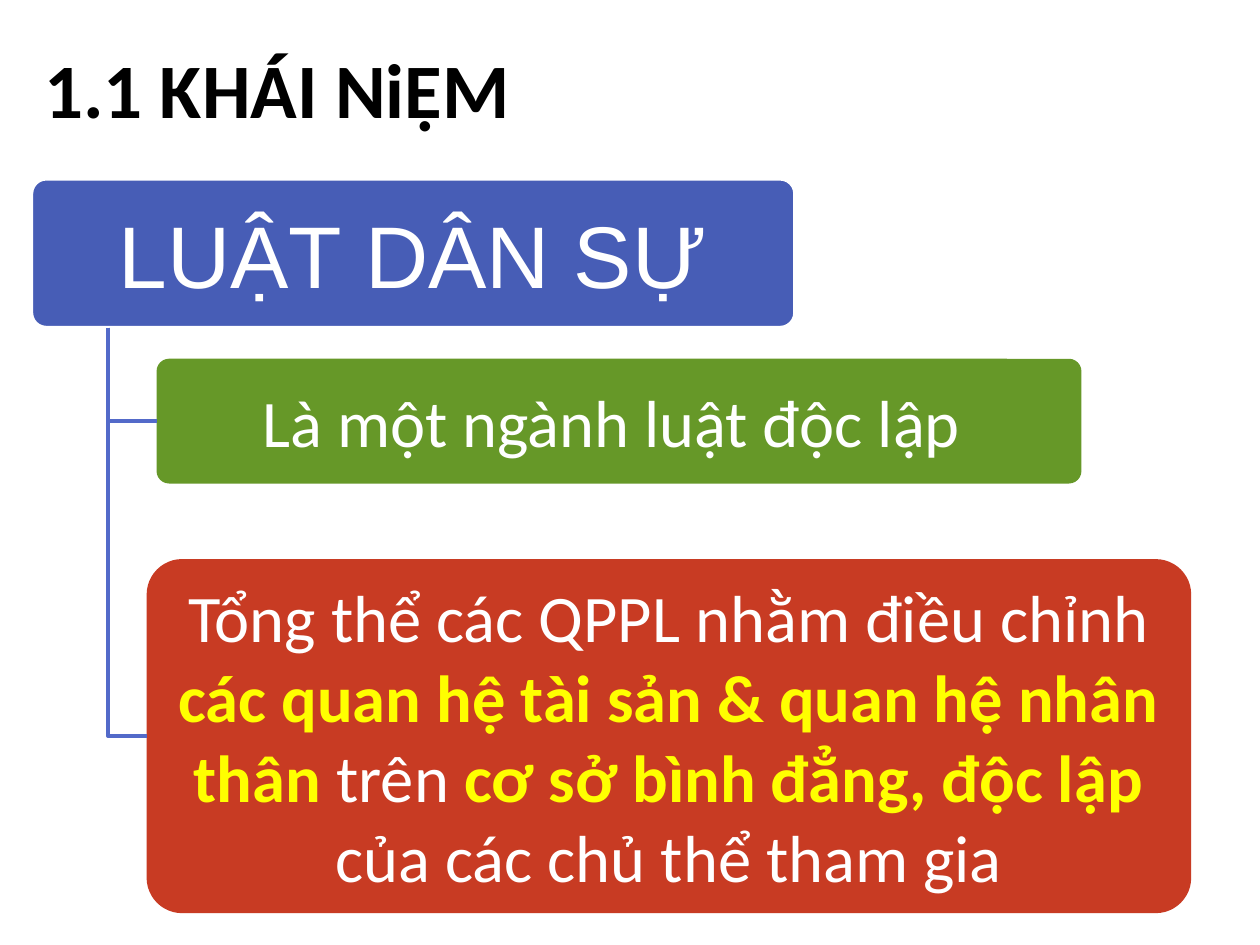
from dataclasses import dataclass

import pptx
import pptx.dml.color
import pptx.enum.shapes
import pptx.enum.text
import pptx.oxml.ns
import pptx.util
from lxml import etree

Pt = pptx.util.Pt


@dataclass(frozen=True)
class Theme:
    black: str = "000000"
    white: str = "FFFFFF"
    yellow: str = "FFFF00"
    blue: str = "475DB6"
    branch: str = "536AC9"
    green: str = "568D11"
    red: str = "C3260C"
    title_size: int = 44
    root_size: int = 50
    child_size: int = 38
    line_width: int = 2


THEME = Theme()


def rgb(value):
    return pptx.dml.color.RGBColor.from_string(value)


def write_text(shape, runs, size, font="Calibri", align="CENTER", margins=(7.2, 3.6)):
    """Write one paragraph from (text, colour, bold) runs."""
    frame = shape.text_frame
    frame.word_wrap = True
    frame.vertical_anchor = pptx.enum.text.MSO_ANCHOR.MIDDLE
    frame.margin_left = frame.margin_right = Pt(margins[0])
    frame.margin_top = frame.margin_bottom = Pt(margins[1])
    paragraph = frame.paragraphs[0]
    paragraph.alignment = pptx.enum.text.PP_ALIGN[align]
    for text, color, bold in runs:
        run = paragraph.add_run()
        run.text = text
        run.font.name = font
        run.font.size = Pt(size)
        run.font.bold = bold
        run.font.color.rgb = rgb(color)


def place_title(slide, left, top, width, height, text):
    title = slide.shapes.title
    title.left, title.top = Pt(left), Pt(top)
    title.width, title.height = Pt(width), Pt(height)
    write_text(title, [(text, THEME.black, True)], THEME.title_size, align="LEFT")


def add_box(slide, left, top, width, height, fill, opacity=100, outline=None):
    box = slide.shapes.add_shape(
        pptx.enum.shapes.MSO_SHAPE.ROUNDED_RECTANGLE,
        Pt(left), Pt(top), Pt(width), Pt(height))
    box.shadow.inherit = False
    box.adjustments[0] = 0.1
    box.fill.solid()
    box.fill.fore_color.rgb = rgb(fill)
    if opacity < 100:
        color = box.fill._xPr.find(".//" + pptx.oxml.ns.qn("a:srgbClr"))
        alpha = etree.SubElement(color, pptx.oxml.ns.qn("a:alpha"))
        alpha.set("val", str(opacity * 1000))
    if outline:
        box.line.color.rgb = rgb(outline)
        box.line.width = Pt(THEME.line_width)
    else:
        box.line.fill.background()
    return box


def add_branch(slide, root, child, trunk):
    """Draw a bent line from the root's bottom edge to the child's left side."""
    bottom = root.top + root.height
    middle = child.top + child.height // 2
    builder = slide.shapes.build_freeform(trunk, bottom)
    builder.add_line_segments([(trunk, middle), (child.left, middle)], close=False)
    branch = builder.convert_to_shape()
    branch.shadow.inherit = False
    branch.fill.background()
    branch.line.color.rgb = rgb(THEME.branch)
    branch.line.width = Pt(THEME.line_width)


def main():
    presentation = pptx.Presentation()
    presentation.slide_width, presentation.slide_height = Pt(720), Pt(540)
    slide = presentation.slides.add_slide(presentation.slide_layouts[5])
    place_title(slide, 18, 5, 552, 90, "1.1 KHÁI NiỆM")

    root = add_box(slide, 18, 102.2, 436.3, 85, THEME.blue, outline=THEME.white)
    write_text(root, [("LUẬT DÂN SỰ", THEME.white, False)],
               THEME.root_size, font="Arial", margins=(7.2, 5))

    branch_field = [("Là một ngành luật độc lập ", THEME.white, False)]
    definition = [
        ("Tổng thể các QPPL nhằm điều chỉnh ", THEME.white, False),
        ("các quan hệ tài sản & quan hệ nhân thân ", THEME.yellow, True),
        ("trên ", THEME.white, False),
        ("cơ sở bình đẳng, độc lập ", THEME.yellow, True),
        ("của các chủ thể tham gia", THEME.white, False),
    ]
    children = [
        ((89.5, 205, 528.5, 71.3), THEME.green, branch_field),
        ((83.8, 319.5, 596.9, 202.3), THEME.red, definition),
    ]
    for bounds, fill, runs in children:
        child = add_box(slide, *bounds, fill, opacity=90)
        write_text(child, runs, THEME.child_size, margins=(5.4, 3.6))
        add_branch(slide, root, child, Pt(61.7))

    presentation.save("out.pptx")


if __name__ == "__main__":
    main()
